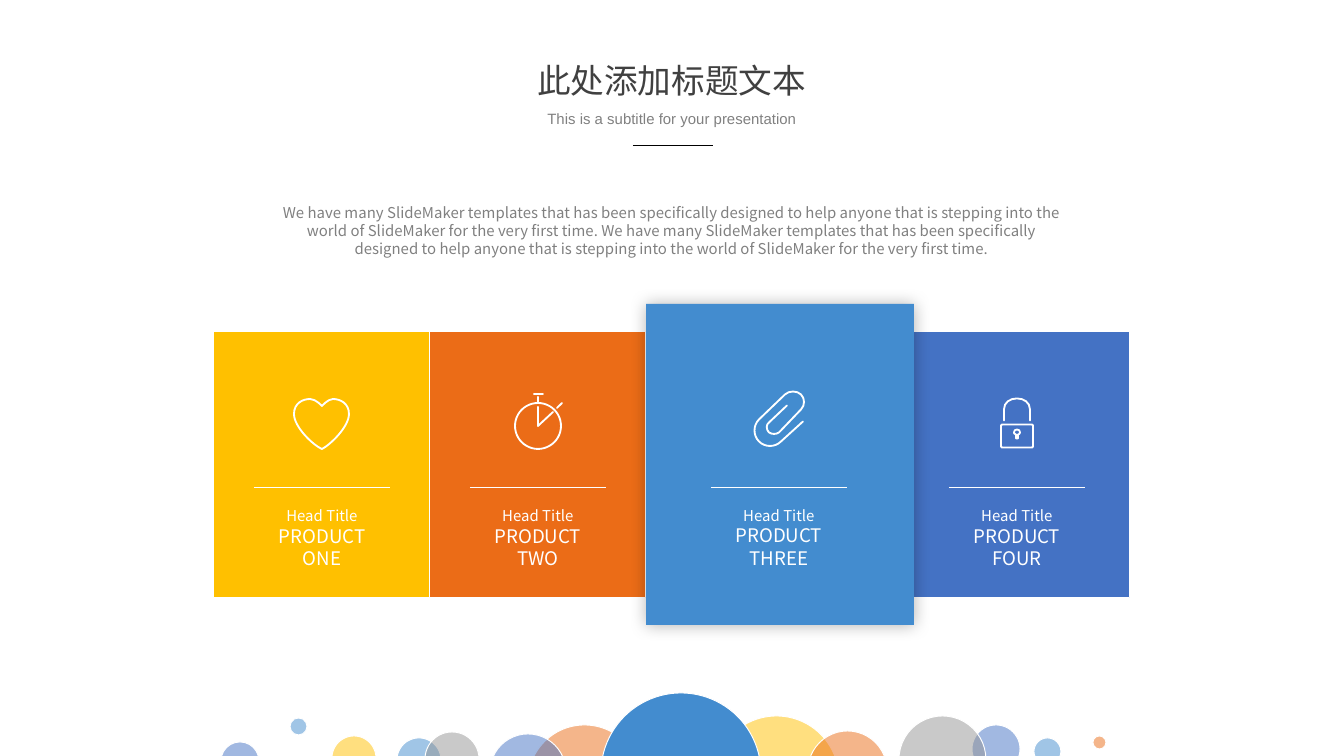
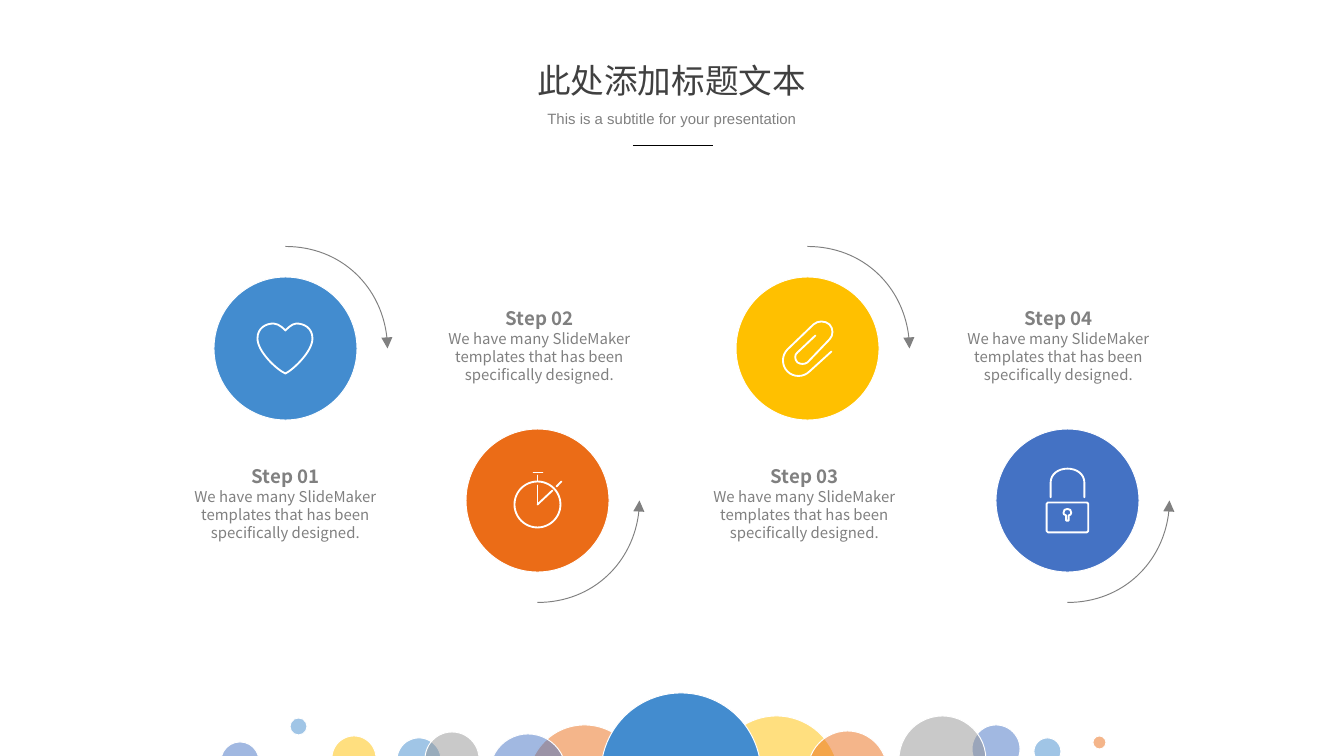
from collections import namedtuple
from dataclasses import dataclass

from lxml.etree import SubElement
from pptx import Presentation
from pptx.dml.color import RGBColor
from pptx.enum.shapes import MSO_CONNECTOR, MSO_SHAPE
from pptx.enum.text import MSO_AUTO_SIZE, PP_ALIGN
from pptx.oxml.ns import qn
from pptx.util import Emu, Pt

SLIDE_WIDTH, SLIDE_HEIGHT = 1344, 756
EMU_PER_PX = 9144000 / SLIDE_WIDTH


@dataclass(frozen=True)
class Theme:
    blue: str = "438CCF"
    orange: str = "EB6C17"
    yellow: str = "FFC000"
    indigo: str = "4472C4"
    silver: str = "949494"
    white: str = "FFFFFF"
    black: str = "000000"
    heading: str = "404040"
    body: str = "808080"
    main_font: str = "Noto Sans CJK SC"
    subtitle_font: str = "Arial"
    title_size: int = 18
    name_size: int = 10
    body_size: int = 8
    hairline: float = 0.5
    icon_line: float = 1
    line_height: float = 1.2


THEME = Theme()
Box = namedtuple("Box", "left top width height")
Card = namedtuple("Card", "box color icon name label_width icon_rise shift")
Step = namedtuple("Step", "left color icon upper text_shift")
Icon = namedtuple("Icon", "width height outlines")

# Icon outlines in px: M move, L line, C cubic curve, Z close
HEART = Icon(56, 50, [
    "M 39 0 C 34 0 28 7 28 7 C 28 7 22 0 16 0 C 9 0 0 4 0 15 "
    "C 0 28 19 46 28 50 C 36 46 55 28 55 15 C 55 4 46 0 39 0 Z"])
CLIP = Icon(52, 56, [
    "M 50 31 L 28 51 C 22 57 12 57 6 51 C 0 45 0 35 6 29 L 32 4 "
    "C 36 0 44 0 48 4 C 52 8 52 15 48 19 L 26 42 "
    "C 23 44 19 44 16 42 C 13 39 13 34 16 32 L 34 15"])
LOCK = Icon(32, 49, [
    "M 29 22 L 29 11 C 29 4 23 0 16 0 C 9 0 3 4 3 11 L 3 22",
    "M 31 26 L 1 26 L 0 27 L 0 48 L 1 49 L 31 49 L 32 48 L 32 27 Z "
    "M 17 36 L 17 40 L 15 40 L 15 36 C 13 35 13 35 13 34 "
    "C 13 32 14 31 16 31 C 18 31 19 32 19 34 C 19 35 18 36 17 36 Z"])
WATCH = Icon(46, 56, [])
WATCH_LINES = [(23, 32, 23, 13), (23, 3, 23, 8), (19, 0, 28, 0),
               (23, 32, 38, 18), (42, 14, 47, 9)]

TITLE = "此处添加标题文本"
SUBTITLE = "This is a subtitle for your presentation"
PROMISE = "We have many SlideMaker templates that has been specifically designed"
INTRO = (PROMISE + " to help anyone that is stepping into the world of SlideMaker "
         "for the very first time.")

CARDS = [
    Card(Box(214, 332, 216, 266), THEME.yellow, HEART, "ONE", 141, 41, 0),
    Card(Box(430, 332, 216, 266), THEME.orange, WATCH, "TWO", 145, 43, 0),
    Card(Box(914, 332, 216, 266), THEME.indigo, LOCK, "FOUR", 151, 42, -5),
    Card(Box(646, 304, 268, 321), THEME.blue, CLIP, "THREE", 156, 46, -1),
]
FEATURED = CARDS[-1]

STEPS = [
    Step(214, THEME.blue, HEART, True, 0),
    Step(466, THEME.orange, WATCH, False, 2),
    Step(736, THEME.yellow, CLIP, True, -3),
    Step(996, THEME.indigo, LOCK, False, -9),
]

BUBBLES = [
    (714, 716, 125, THEME.yellow), (808, 731, 79, THEME.orange),
    (972, 725, 48, THEME.indigo), (899, 716, 87, THEME.silver),
    (1034, 738, 27, THEME.blue), (1093, 736, 13, THEME.orange),
    (528, 725, 113, THEME.orange), (490, 734, 76, THEME.indigo),
    (397, 738, 44, THEME.blue), (425, 732, 54, THEME.silver),
    (332, 736, 44, THEME.yellow), (290, 718, 17, THEME.blue),
    (601, 693, 160, THEME.blue), (221, 742, 38, THEME.indigo),
]
MAIN_BUBBLE = 160


def px(length):
    return Emu(round(length * EMU_PER_PX))


def rgb(color):
    return RGBColor.from_string(color)


# Drawing helpers
def set_line(shape, color, width):
    shape.line.color.rgb = rgb(color)
    shape.line.width = Pt(width)
    if width == THEME.icon_line:
        shape.element.spPr.find(qn("a:ln")).set("cap", "rnd")


def add_preset(shapes, kind, box, fill=None, line=THEME.white, width=THEME.hairline):
    shape = shapes.add_shape(kind, *map(px, box))
    shape.shadow.inherit = False
    if fill:
        shape.fill.solid()
        shape.fill.fore_color.rgb = rgb(fill)
    else:
        shape.fill.background()
    if line:
        set_line(shape, line, width)
    else:
        shape.line.fill.background()
    return shape


def add_rule(shapes, ends, color, width=THEME.hairline):
    connector = shapes.add_connector(MSO_CONNECTOR.STRAIGHT, *map(px, ends))
    set_line(connector, color, width)
    SubElement(connector.element.spPr, qn("a:effectLst"))


def add_text(slide, box, lines, inset=True):
    """Each line is (text, size, color, font, bold)."""
    shape = slide.shapes.add_textbox(*map(px, box))
    frame = shape.text_frame
    frame.word_wrap = True
    frame.auto_size = MSO_AUTO_SIZE.SHAPE_TO_FIT_TEXT
    if not inset:
        frame.margin_left = frame.margin_right = 0
        frame.margin_top = frame.margin_bottom = 0
    for index, (text, size, color, font, bold) in enumerate(lines):
        paragraph = frame.add_paragraph() if index else frame.paragraphs[0]
        paragraph.alignment = PP_ALIGN.CENTER
        if font == THEME.main_font:
            paragraph.line_spacing = Pt(size * THEME.line_height)
        run = paragraph.add_run()
        run.text = text
        run.font.size = Pt(size)
        run.font.bold = bold
        run.font.name = font
        run.font.color.rgb = rgb(color)
        SubElement(run.font._element, qn("a:ea"), typeface=font)


def read_outline(outline):
    """Return (command, points) pairs."""
    tokens = iter(outline.split())
    counts = {"M": 1, "L": 1, "C": 3, "Z": 0}
    return [(command, [(int(next(tokens)), int(next(tokens)))
                       for _ in range(counts[command])]) for command in tokens]


def bend_curves(shape, commands):
    """Join each three line segments of a curve command into one cubic curve."""
    outline = next(shape.element.iter(qn("a:path")))
    segments = iter(outline.findall(qn("a:lnTo")))
    for command, points in commands:
        if command not in ("L", "C"):
            continue
        first, *others = [next(segments) for _ in points]
        if others:
            first.tag = qn("a:cubicBezTo")
        for segment in others:
            first.append(segment[0])
            outline.remove(segment)


def add_outline(slide, outline, left, top, color, width, scale=1):
    commands, builder = read_outline(outline), None
    for command, points in commands:
        places = [(px(left + x * scale), px(top + y * scale)) for x, y in points]
        if command == "Z":
            builder.add_line_segments([], close=True)
        elif command != "M":
            builder.add_line_segments(places, close=False)
        elif builder is None:
            builder = slide.shapes.build_freeform(*places[0])
        else:
            builder.move_to(*places[0])
    shape = builder.convert_to_shape()
    bend_curves(shape, commands)
    shape.shadow.inherit = False
    shape.fill.background()
    set_line(shape, color, width)
    return shape


def add_icon(slide, icon, center_x, center_y, scale=1):
    left = center_x - icon.width * scale / 2
    top = center_y - icon.height * scale / 2
    for outline in icon.outlines:
        add_outline(slide, outline, left, top, THEME.white, THEME.icon_line, scale)
    if icon is WATCH:
        add_preset(slide.shapes, MSO_SHAPE.OVAL, Box(left, top + 9, 46, 46),
                   width=THEME.icon_line)
        for x1, y1, x2, y2 in WATCH_LINES:
            add_rule(slide.shapes, (left + x1, top + y1, left + x2, top + y2),
                     THEME.white, THEME.icon_line)


# Shared parts
def add_bubbles(slide, layout):
    """Draw the bottom bubbles once and keep them on the layout."""
    for placeholder in list(layout.placeholders):
        placeholder.element.getparent().remove(placeholder.element)
    group = slide.shapes.add_group_shape()
    for left, top, size, color in BUBBLES:
        bubble = add_preset(group.shapes, MSO_SHAPE.OVAL, Box(left, top, size, size), color)
        if size != MAIN_BUBBLE:
            fill = bubble.element.spPr.find(qn("a:solidFill"))
            SubElement(fill[0], qn("a:alpha"), val="50000")
    layout.shapes.element.append(group.element)


def add_heading(slide, box):
    add_text(slide, Box(box.left, box.top, box.width, 54),
             [(TITLE, THEME.title_size, THEME.heading, THEME.main_font, False)])
    add_text(slide, Box(box.left + 79, box.top + 50, box.width - 157, 32),
             [(SUBTITLE, THEME.body_size, THEME.body, THEME.subtitle_font, False)])
    line_y = box.top + box.height
    add_rule(slide.shapes, (box.left + 184, line_y, box.left + 264, line_y), THEME.black)


# Product cards
def add_card(slide, card):
    box, featured = card.box, card is FEATURED
    rectangle = add_preset(slide.shapes, MSO_SHAPE.RECTANGLE, box, card.color,
                           None if featured else THEME.white)
    if featured:
        effects = rectangle.element.spPr.find(qn("a:effectLst"))
        shadow = SubElement(effects, qn("a:outerShdw"), blurRad=str(Pt(9)), dist="0",
                            dir="2700000", algn="ctr", rotWithShape="0")
        color = SubElement(shadow, qn("a:srgbClr"), val=THEME.black)
        SubElement(color, qn("a:alpha"), val="30000")
    center = box.left + box.width / 2 + card.shift
    middle = box.top + box.height / 2
    add_icon(slide, card.icon, center, middle - card.icon_rise)
    add_rule(slide.shapes, (center - 68, middle + 23, center + 68, middle + 23), THEME.white)
    add_text(slide, Box(center - card.label_width / 2, middle + 35, card.label_width, 54), [
        ("Head Title", THEME.body_size, THEME.white, THEME.main_font, False),
        ("PRODUCT " + card.name, THEME.name_size, THEME.white, THEME.main_font, False)])


def build_products(slide):
    add_text(slide, Box(280, 204, 784, 54),
             [(INTRO + " " + INTRO, THEME.body_size, THEME.body, THEME.main_font, False)],
             inset=False)
    for card in CARDS:
        add_card(slide, card)


# Process steps
def add_step(slide, number, step):
    size, radius = 143, 102
    box = Box(step.left, 277 if step.upper else 429, size, size)
    center, middle = box.left + size / 2, box.top + size / 2
    add_preset(slide.shapes, MSO_SHAPE.OVAL, box, step.color)
    side = -1 if step.upper else 1
    arc = f"M 0 {side * radius} C 56 {side * radius} {radius} {side * 56} {radius} 0"
    arrow = add_outline(slide, arc, center, middle, THEME.body, THEME.hairline)
    SubElement(arrow.element.spPr.find(qn("a:ln")), qn("a:tailEnd"), type="triangle")
    add_icon(slide, step.icon, center, middle, 1.3 if step.icon is LOCK else 1)
    text_top = box.top + (188 if step.upper else -122)
    add_text(slide, Box(center - 111 + step.text_shift, text_top, 222, 77), [
        (f"Step {number:02}", THEME.name_size, THEME.body, THEME.main_font, True),
        (PROMISE + ".", THEME.body_size, THEME.body, THEME.main_font, False)], inset=False)


def build_steps(slide):
    for number, step in enumerate(STEPS, 1):
        add_step(slide, number, step)


def main():
    presentation = Presentation()
    presentation.slide_width = px(SLIDE_WIDTH)
    presentation.slide_height = px(SLIDE_HEIGHT)
    blank = presentation.slide_layouts[6]
    for index, build in enumerate((build_products, build_steps)):
        slide = presentation.slides.add_slide(blank)
        if index == 0:
            add_bubbles(slide, blank)
        build(slide)
        add_heading(slide, Box(449, 53, 445, 92))
    presentation.save("out.pptx")


if __name__ == "__main__":
    main()
